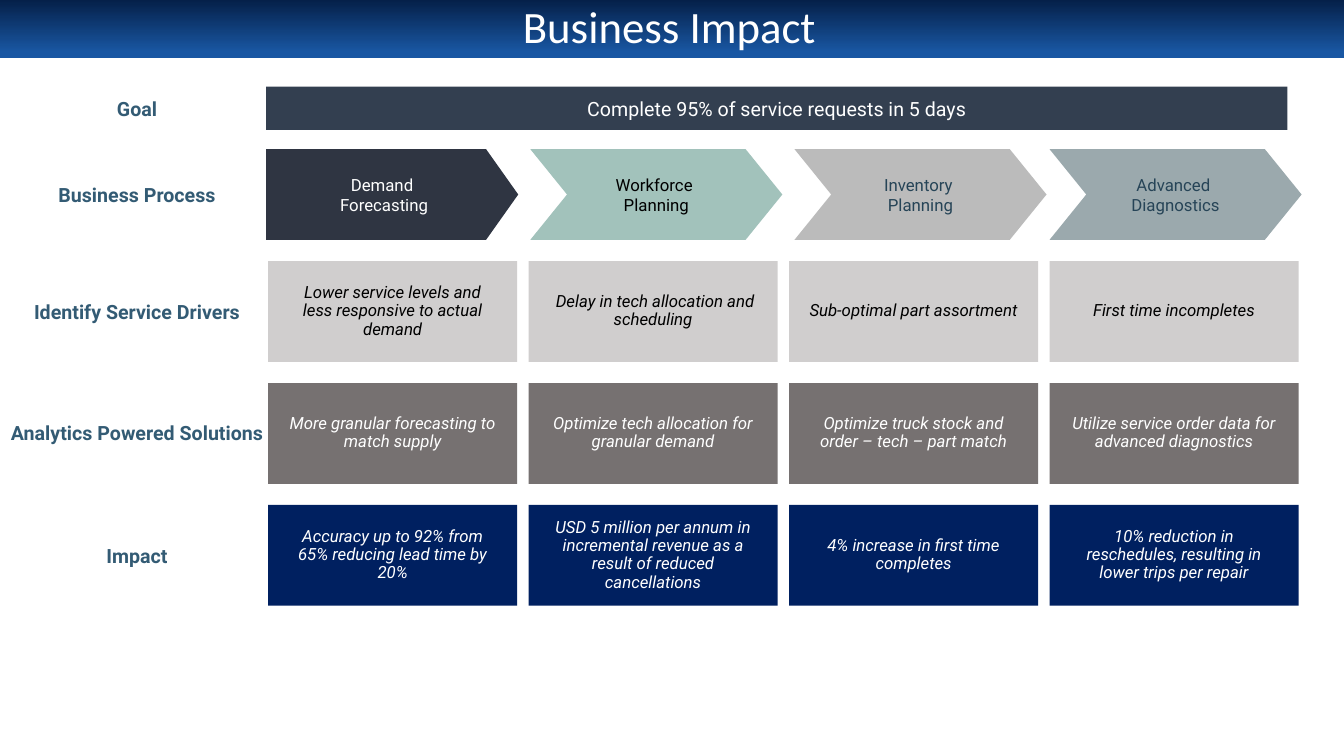
"""Build the Business Impact slide."""
from dataclasses import dataclass

from pptx import Presentation
from pptx.dml.color import RGBColor
from pptx.enum.shapes import MSO_SHAPE
from pptx.enum.text import MSO_ANCHOR, MSO_AUTO_SIZE, PP_ALIGN
from pptx.util import Inches, Pt

RECT = MSO_SHAPE.RECTANGLE
PLATE = MSO_SHAPE.PENTAGON
ARROW = MSO_SHAPE.CHEVRON
MIDDLE = MSO_ANCHOR.MIDDLE
CENTER = PP_ALIGN.CENTER
GROW = MSO_AUTO_SIZE.SHAPE_TO_FIT_TEXT
FIXED = MSO_AUTO_SIZE.NONE

HUES = {
    "white": "FFFFFF", "black": "000000", "top": "052049", "base": "1957A3",
    "label": "335B74", "goal": "333F50", "ink": "264457",
    "night": "2F3542", "mint": "A2C2BB", "silver": "BBBBBB", "steel": "9BA9AD",
    "light": "D0CECE", "stone": "767171", "navy": "002060",
}


@dataclass(frozen=True)
class Style:
    hue: str
    size: int = 12
    face: str = "Roboto"
    bold: bool = False
    slant: bool = False
    lead: float = 1.0


@dataclass(frozen=True)
class Box:
    left: float
    top: float
    width: float
    height: float

    def place(self):
        return [Inches(n) for n in (self.left, self.top, self.width, self.height)]


@dataclass(frozen=True)
class Step:
    left: float
    fill: str
    ink: str
    lines: tuple[str, str]
    kind: int = ARROW
    point: float = 0.405


@dataclass(frozen=True)
class Band:
    fill: str
    ink: str
    cells: tuple[str, ...]


@dataclass(frozen=True)
class Label:
    text: str
    box: Box


STEPS = (
    Step(2.64, "night", "white", ("Demand ", "Forecasting"), PLATE, 0.354),
    Step(5.26, "mint", "black", ("Workforce ", "Planning")),
    Step(7.88, "silver", "ink", ("Inventory ", "Planning")),
    Step(10.41, "steel", "ink", ("Advanced ", "Diagnostics")),
)
BANDS = (
    Band("light", "black", (
        "Lower service levels and less responsive to actual demand",
        " Delay in tech allocation and scheduling",
        "Sub-optimal part assortment",
        "First time incompletes")),
    Band("stone", "white", (
        "More granular forecasting to match supply",
        "Optimize tech allocation for granular demand",
        "Optimize truck stock and order – tech – part match",
        "Utilize service order data for advanced diagnostics")),
    Band("navy", "white", (
        "Accuracy up to 92% from 65% reducing lead time by 20%",
        "USD 5 million per annum in incremental revenue as a result of reduced cancellations",
        "4% increase in first time completes",
        "10% reduction in reschedules, resulting in lower trips per repair")),
)
LABELS = (
    Label("Goal", Box(0.11, 0.91, 2.5, 0.34)),
    Label("Business Process", Box(0.11, 1.76, 2.5, 0.34)),
    Label("Identify Service Drivers", Box(0.11, 2.92, 2.5, 0.34)),
    Label("Analytics Powered Solutions", Box(0, 4.01, 2.72, 0.57)),
    Label("Impact", Box(0.11, 5.34, 2.5, 0.34)),
)


def color(name: str) -> RGBColor:
    return RGBColor.from_string(HUES[name])


def write(shape, lines: tuple[str, ...], style: Style) -> None:
    frame = shape.text_frame
    frame.word_wrap = True
    frame.vertical_anchor = MIDDLE
    for i, line in enumerate(lines):
        para = frame.add_paragraph() if i else frame.paragraphs[0]
        para.alignment = CENTER
        para.line_spacing = style.lead
        run = para.add_run()
        run.text = line
        font = run.font
        font.name, font.size = style.face, Pt(style.size)
        font.bold, font.italic = style.bold, style.slant
        font.color.rgb = color(style.hue)


def draw(slide, kind: int, box: Box, fill: str):
    shape = slide.shapes.add_shape(kind, *box.place())
    shape.shadow.inherit = False
    shape.line.fill.background()
    shape.fill.solid()
    shape.fill.fore_color.rgb = color(fill)
    return shape


def add_head(slide) -> None:
    title = slide.shapes.title
    title.left, title.top, title.width, title.height = Box(0.66, 0.06, 11.96, 0.45).place()
    write(title, ("Business Impact",), Style("white", 32, "Calibri", lead=0.9))
    title.text_frame.auto_size = FIXED
    bar = draw(slide, RECT, Box(0, 0, 13.33, 0.58), "base")
    bar.fill.gradient()
    bar.fill.gradient_angle = 270
    for stop, name, spot in zip(bar.fill.gradient_stops, ("top", "base"), (0, 0.9)):
        stop.color.rgb = color(name)
        stop.position = spot
    title.element.addprevious(bar.element)


def add_label(slide, label: Label) -> None:
    shape = slide.shapes.add_textbox(*label.box.place())
    write(shape, (label.text,), Style("label", 14, bold=True))
    shape.text_frame.auto_size = GROW


def add_step(slide, step: Step) -> None:
    shape = draw(slide, step.kind, Box(step.left, 1.48, 2.5, 0.9), step.fill)
    shape.adjustments[0] = step.point
    write(shape, step.lines, Style(step.ink))


def add_band(slide, band: Band, row: int) -> None:
    for col, text in enumerate(band.cells):
        box = Box(2.66 + 7.75 / 3 * col, 2.59 + 1.21 * row, 2.47, 1)
        cell = draw(slide, RECT, box, band.fill)
        frame = cell.text_frame
        frame.margin_left = frame.margin_right = Inches(0.2)
        frame.margin_top = frame.margin_bottom = Inches(0.16)
        write(cell, (text,), Style(band.ink, slant=True, lead=0.9))


def main() -> None:
    deck = Presentation()
    deck.slide_width, deck.slide_height = Inches(13.33), Inches(7.5)
    slide = deck.slides.add_slide(deck.slide_layouts[5])
    add_head(slide)
    goal = draw(slide, RECT, Box(2.64, 0.86, 10.13, 0.43), "goal")
    write(goal, ("Complete 95% of service requests in 5 days",), Style("white", 14))
    for step in STEPS:
        add_step(slide, step)
    for row, band in enumerate(BANDS):
        add_band(slide, band, row)
    for label in LABELS:
        add_label(slide, label)
    deck.save("out.pptx")


if __name__ == "__main__":
    main()
